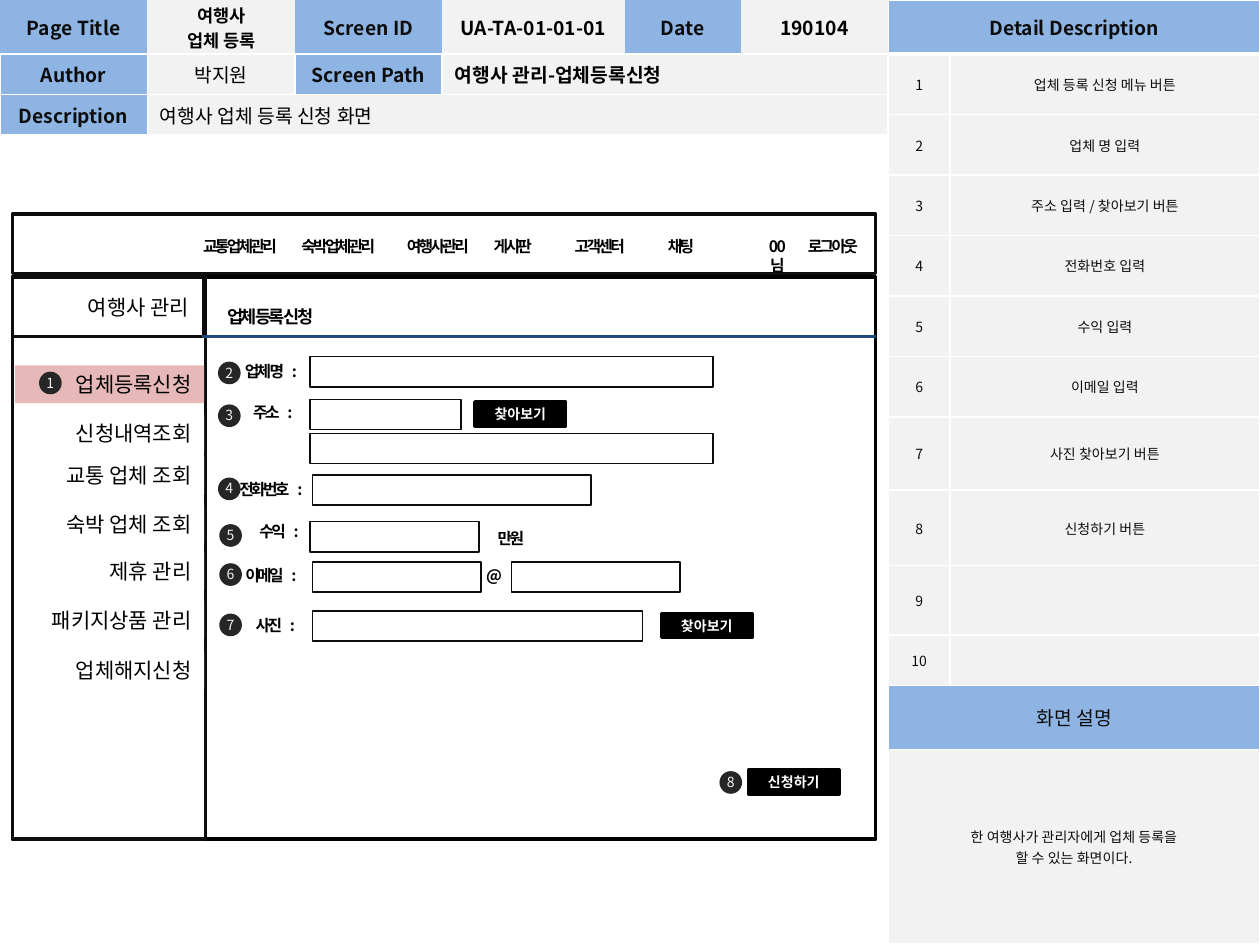
from lxml import etree
from pptx import Presentation
from pptx import util as u
from pptx.dml import color
from pptx.enum import shapes, text
from pptx.oxml import ns

FONT = "Noto Sans CJK KR"
BLUE, GRAY, INK, BLACK, WHITE = "8EB4E3", "F2F2F2", "0D0D0D", "000000", "FFFFFF"
LEFT, CENTER, RIGHT = text.PP_ALIGN.LEFT, text.PP_ALIGN.CENTER, text.PP_ALIGN.RIGHT
MIDDLE, TOP = text.MSO_ANCHOR.MIDDLE, text.MSO_ANCHOR.TOP


def rgb(value):
    return color.RGBColor.from_string(value)


def style_run(run, size, ink, bold=False, spacing=None):
    run.font.size = u.Pt(size)
    run.font.bold = bold
    run.font.color.rgb = rgb(ink)
    run.font.name = FONT
    properties = run._r.get_or_add_rPr()
    etree.SubElement(properties, ns.qn("a:ea")).set("typeface", FONT)
    if spacing is not None:
        properties.set("spc", str(int(spacing * 100)))


def write(frame, words, size, ink, bold=False, align=CENTER, spacing=None):
    frame.text = words
    for paragraph in frame.paragraphs:
        paragraph.alignment = align
        for run in paragraph.runs:
            style_run(run, size, ink, bold, spacing)


def add_box(parent, left, top, width, height, fill=None, line=None, weight=1,
            kind=shapes.MSO_SHAPE.RECTANGLE):
    shape = parent.add_shape(kind, u.Inches(left), u.Inches(top), u.Inches(width), u.Inches(height))
    shape.shadow.inherit = False
    if fill:
        shape.fill.solid()
        shape.fill.fore_color.rgb = rgb(fill)
    else:
        shape.fill.background()
    if line:
        shape.line.color.rgb = rgb(line)
        shape.line.width = u.Pt(weight)
    else:
        shape.line.fill.background()
    return shape


def add_label(parent, left, top, width, words, size=9, ink=BLACK, bold=True,
              align=CENTER, spacing=-1.5, height=0.25):
    label = parent.add_textbox(u.Inches(left), u.Inches(top), u.Inches(width), u.Inches(height))
    label.text_frame.word_wrap = False
    write(label.text_frame, words, size, ink, bold, align, spacing)
    return label


def add_badge(slide, left, top, number):
    group = slide.shapes.add_group_shape()
    add_box(group.shapes, left, top, 0.18, 0.18, "262626", kind=shapes.MSO_SHAPE.OVAL)
    add_label(group.shapes, left - 0.04, top - 0.03, 0.26, str(number), 8, GRAY, False, LEFT, 0, 0.24)


def add_button(slide, left, top, words):
    button = add_box(slide.shapes, left, top, 0.72, 0.19, BLACK, BLACK, 2)
    button.text_frame.vertical_anchor = MIDDLE
    write(button.text_frame, words, 8, WHITE, True)


def style_cell(cell, fill, borders):
    cell.fill.solid()
    cell.fill.fore_color.rgb = rgb(fill)
    cell.vertical_anchor = MIDDLE
    cell.margin_top = cell.margin_bottom = u.Inches(0.01)
    for index, side in enumerate("LRTB"):
        line = etree.Element(ns.qn("a:ln" + side))
        weight = borders.get(side, 0)
        line.set("w", str(u.Pt(weight)))
        if weight:
            solid = etree.SubElement(line, ns.qn("a:solidFill"))
            etree.SubElement(solid, ns.qn("a:srgbClr")).set("val", WHITE)
        else:
            etree.SubElement(line, ns.qn("a:noFill"))
        cell._tc.get_or_add_tcPr().insert(index, line)


def add_grid(slide, left, top, columns, rows):
    frame = slide.shapes.add_table(len(rows), len(columns), u.Inches(left), u.Inches(top),
                                   u.Inches(sum(columns)), u.Inches(sum(rows)))
    table = frame.table
    table.first_row = table.horz_banding = False
    for column, width in zip(table.columns, columns):
        column.width = u.Inches(width)
    for row, height in zip(table.rows, rows):
        row.height = u.Inches(height)
    return table


def build_header(slide, left, top):
    table = add_grid(slide, left, top, [1.17, 1.17, 1.17, 1.45, 0.92, 1.17], [0.43, 0.32, 0.32])
    content = [
        ["Page Title", "여행사\n업체 등록", "Screen ID", "UA-TA-01-01-01", "Date", "190104"],
        ["Author", "박지원", "Screen Path", "여행사 관리-업체등록신청"],
        ["Description", "여행사 업체 등록 신청 화면"],
    ]
    for row, words in enumerate(content):
        borders = dict.fromkeys("LRTB", 1) if row else {"B": 1}
        for column in range(6):
            heading = column % 2 == 0 and column < len(words)
            style_cell(table.cell(row, column), BLUE if heading else GRAY, borders)
        if len(words) < 6:
            table.cell(row, len(words) - 1).merge(table.cell(row, 5))
        for column, value in enumerate(words):
            merged = row > 0 and column == len(words) - 1
            plain = (row, column) in [(1, 1), (2, 1)]
            write(table.cell(row, column).text_frame, value, 10 if "\n" in value else 11,
                  INK if column % 2 == 0 else BLACK, not plain, LEFT if merged else CENTER)


def build_details(slide, left, top):
    heights = [0.43] + [0.48] * 6 + [0.58, 0.6, 0.55, 0.4, 0.51, 1.54]
    table = add_grid(slide, left, top, [0.49, 2.46], heights)
    details = ["업체 등록 신청 메뉴 버튼", "업체 명 입력", "주소 입력 / 찾아보기 버튼", "전화번호 입력",
               "수익 입력", "이메일 입력", "사진 찾아보기 버튼", "신청하기 버튼", "", ""]
    for row in range(len(heights)):
        borders = {"L": 1, "R": 1, "T": 3 if row == 1 else 1, "B": 1 if row else 3}
        for column in range(2):
            style_cell(table.cell(row, column), BLUE if row in (0, 11) else GRAY, borders)
    for row, detail in enumerate(details, 1):
        write(table.cell(row, 0).text_frame, str(row), 8, INK)
        write(table.cell(row, 1).text_frame, detail, 8, INK)
    summary = "한 여행사가 관리자에게 업체 등록을\n할 수 있는 화면이다."
    for row, words, size in [(0, "Detail Description", 11), (11, "화면 설명", 11), (12, summary, 8)]:
        table.cell(row, 0).merge(table.cell(row, 1))
        write(table.cell(row, 0).text_frame, words, size, INK, row == 0)


def build_navigation(slide, left, top, width):
    add_box(slide.shapes, left, top, width, 0.47, None, INK, 2)
    entries = [(1.39, 0.83, "교통업체관리"), (2.17, 0.83, "숙박업체관리"), (3.01, 0.73, "여행사관리"),
               (3.71, 0.52, "게시판"), (4.35, 0.62, "고객센터"), (5.1, 0.41, "채팅"),
               (5.84, 0.46, "0 0\v님"), (6.2, 0.62, "로그아웃")]
    for offset, label_width, words in entries:
        add_label(slide.shapes, left + offset, top + 0.13, label_width, words)


def build_sidebar(slide, left, top, height):
    add_box(slide.shapes, left, top, 1.53, height, None, INK, 2)
    add_box(slide.shapes, left, top, 1.52, 0.47, None, INK, 2)
    add_label(slide.shapes, left - 0.15, top + 0.09, 1.65, "여행사 관리", 12, BLACK, False, RIGHT, 0, 0.3)
    entries = [(0.7, "업체등록신청"), (1.09, "신청내역조회"), (1.42, "교통 업체 조회"), (1.81, "숙박 업체 조회"),
               (2.18, "제휴 관리"), (2.57, "패키지상품 관리"), (2.97, "업체해지신청")]
    for index, (offset, words) in enumerate(entries):
        item = add_box(slide.shapes, left + 0.02, top + offset, 1.5, 0.3, WHITE if index else "E6B9B8")
        item.text_frame.vertical_anchor = TOP
        write(item.text_frame, words, 12, BLACK, False, RIGHT)
    add_badge(slide, left + 0.21, top + 0.75, 1)


def build_form(slide, left, top, width):
    title = slide.shapes.title
    title.left, title.top = u.Inches(left + 0.06), u.Inches(top + 0.18)
    title.width, title.height = u.Inches(0.97), u.Inches(0.27)
    frame = title.text_frame
    frame.auto_size, frame.word_wrap, frame.vertical_anchor = text.MSO_AUTO_SIZE.NONE, False, TOP
    write(frame, "업체 등록 신청", 10, BLACK, True, spacing=-1.5)

    rule = slide.shapes.add_connector(shapes.MSO_CONNECTOR.STRAIGHT, u.Inches(left), u.Inches(top + 0.47),
                                      u.Inches(left + width), u.Inches(top + 0.47))
    rule.line.color.rgb = rgb("1F497D")
    rule.line.width = u.Pt(1.5)
    etree.SubElement(rule._element.spPr, ns.qn("a:effectLst"))

    fields = [(0.86, 0.63, 3.2), (0.86, 0.97, 1.2), (0.86, 1.24, 3.2), (0.88, 1.57, 2.21),
              (0.86, 1.94, 1.34), (0.88, 2.26, 1.34), (2.46, 2.26, 1.34), (0.88, 2.65, 2.62)]
    for x, y, field_width in fields:
        add_box(slide.shapes, left + x, top + y, field_width, 0.24, WHITE, INK)
    labels = [(0.24, 0.62, 0.62, "업체 명"), (0.3, 0.95, 0.49, "주소"), (0.2, 1.56, 0.7, "전화번호"),
              (0.35, 1.89, 0.49, "수익"), (0.24, 2.24, 0.58, "이메일"), (0.32, 2.64, 0.49, "사진")]
    for x, y, label_width, words in labels:
        label = add_label(slide.shapes, left + x, top + y, label_width, words)
        colon = label.text_frame.paragraphs[0].add_run()
        colon.text = " :"
        style_run(colon, 9, BLACK, True, 2.5)
    add_label(slide.shapes, left + 2.25, top + 1.95, 0.41, "만원")
    add_label(slide.shapes, left + 2.16, top + 2.24, 0.3, "@")
    for x, y, words in [(2.17, 0.99, "찾아보기"), (3.65, 2.67, "찾아보기"), (4.34, 3.91, "신청하기")]:
        add_button(slide, left + x, top + y, words)
    badges = [(0.13, 0.67), (0.13, 1.01), (0.13, 1.59), (0.14, 1.96), (0.14, 2.27), (0.14, 2.67), (4.11, 3.92)]
    for number, (x, y) in enumerate(badges, 2):
        add_badge(slide, left + x, top + y, number)


def main():
    presentation = Presentation()
    presentation.slide_width, presentation.slide_height = u.Inches(10), u.Inches(7.5)
    slide = presentation.slides.add_slide(presentation.slide_layouts[5])
    build_header(slide, 0, 0)
    build_details(slide, 7.05, 0)
    add_box(slide.shapes, 0.1, 2.2, 6.85, 4.46, None, BLACK, 2)
    build_navigation(slide, 0.1, 1.7, 6.85)
    build_sidebar(slide, 0.1, 2.2, 4.46)
    build_form(slide, 1.6, 2.2, 5.35)
    presentation.save("out.pptx")


if __name__ == "__main__":
    main()
